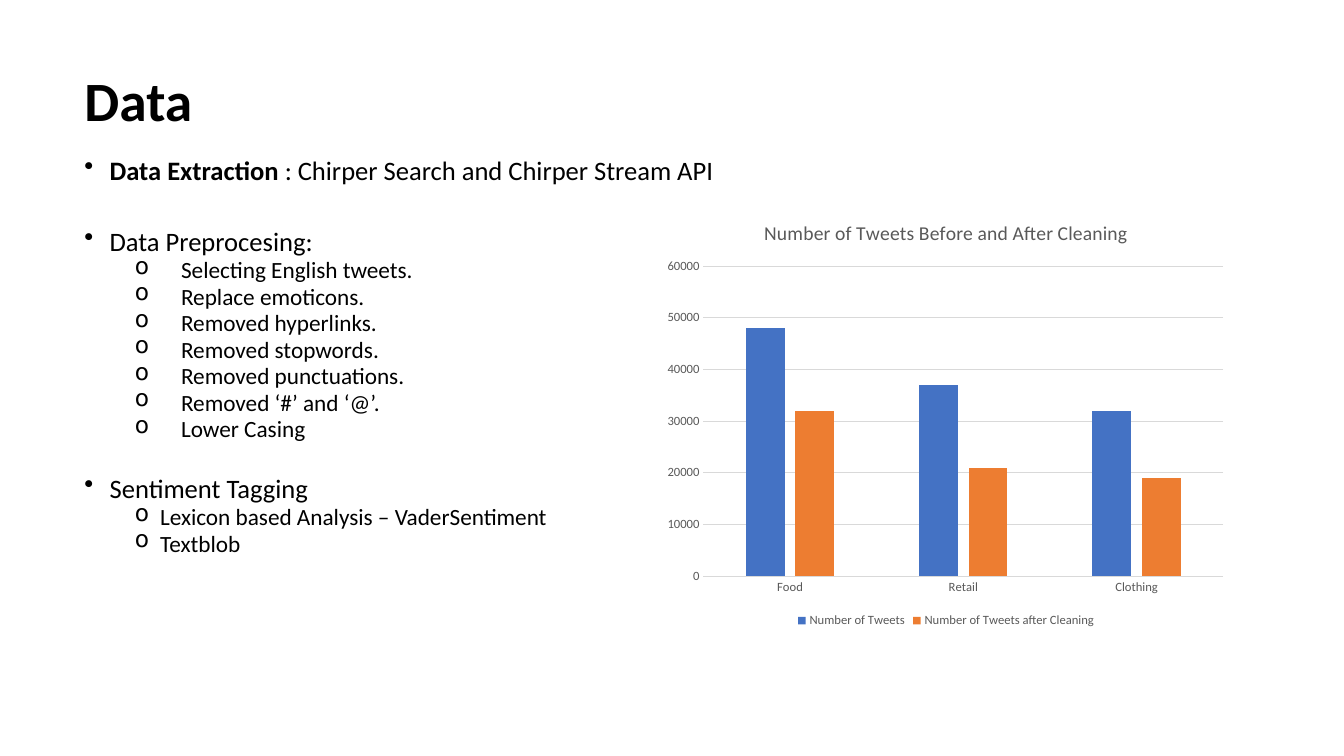
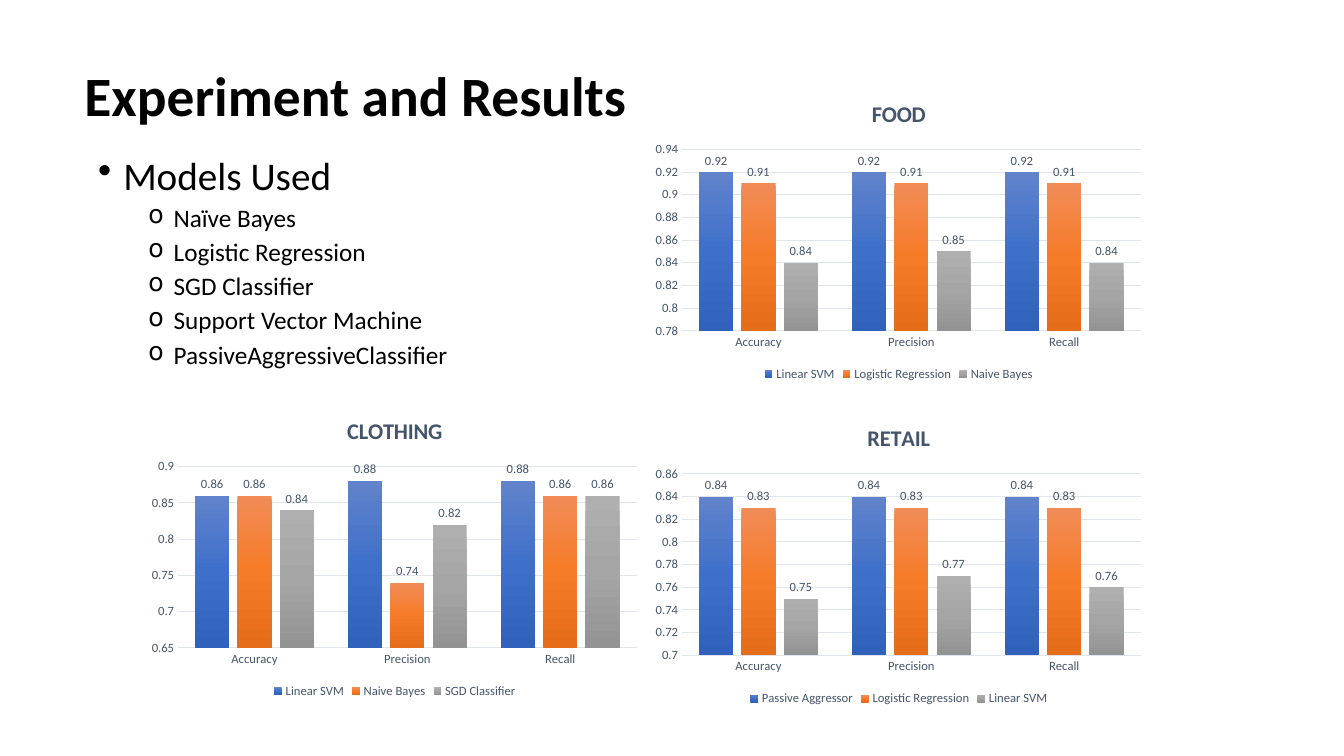
from dataclasses import dataclass

from pptx import Presentation
from pptx.chart.data import CategoryChartData
from pptx.dml.color import RGBColor
from pptx.enum.chart import (XL_CHART_TYPE, XL_LABEL_POSITION,
                             XL_LEGEND_POSITION, XL_TICK_MARK)
from pptx.enum.text import MSO_ANCHOR
from pptx.oxml import parse_xml
from pptx.oxml.ns import nsdecls, qn
from pptx.oxml.xmlchemy import OxmlElement
from pptx.util import Emu, Pt

PX = 9525


@dataclass(frozen=True)
class Theme:
    """Colours, type sizes and chart looks."""
    font: str = "Calibri"
    ink: str = "000000"
    head: float = 39.6
    small: int = 9


@dataclass(frozen=True)
class Look:
    """Style of one kind of chart."""
    ink: str
    rule: str
    fills: tuple
    title: int
    bold: bool
    gap: int
    lap: int
    plot: tuple
    marks: bool


THEME = Theme()
PLAIN = Look("595959", "D9D9D9", (("4472C4",), ("ED7D31",)),
             14, False, 219, -27, (0.08, 0.15, 0.9, 0.72), False)
SHADED = Look("44546A", "E0E5EB",
              (("6183CB", "3E70CA", "3062BB"),
               ("F18C57", "F67B28", "E56C19"),
               ("AFAFAF", "A5A5A5", "939393")),
              16, True, 100, -24, (0.07, 0.22, 0.91, 0.6), True)


def px(*nums):
    """Turn px lengths into EMU."""
    return [Emu(num * PX) for num in nums]


def rgb(code):
    """Turn a hex code into a colour."""
    return RGBColor.from_string(code)


class Deck:
    """Holds the style and the current slide."""

    def __init__(self, theme):
        self.theme = theme
        self.file = Presentation()
        self.file.slide_width, self.file.slide_height = px(1280, 720)
        self.slide = None

    def page(self, title, high):
        """Start a slide with its title."""
        self.slide = self.file.slides.add_slide(self.file.slide_layouts[6])
        frame = self.frame((71, 64, 902, high))
        frame.vertical_anchor = MSO_ANCHOR.MIDDLE
        para = frame.paragraphs[0]
        para.line_spacing = 0.9
        self.run(para, title, self.theme.head, True)

    def frame(self, box):
        """Add a wrapped text box and return its frame."""
        frame = self.slide.shapes.add_textbox(*px(*box)).text_frame
        frame.word_wrap = True
        return frame

    def style(self, font, size, ink, bold=False):
        """Set all traits of a font."""
        font.name, font.size, font.bold = self.theme.font, Pt(size), bold
        font.color.rgb = rgb(ink)

    def run(self, para, text, size, bold=False):
        """Add one run of text."""
        run = para.add_run()
        run.text = text
        self.style(run.font, size, self.theme.ink, bold)

    def body(self, box, rows, sizes, lead):
        """Add a bulleted list of (level, space, indent, runs) rows."""
        frame = self.frame(box)
        for num, (level, space, hang, runs) in enumerate(rows):
            para = frame.add_paragraph() if num else frame.paragraphs[0]
            para.line_spacing, para.space_before = lead, Pt(space)
            para.level = level
            props = para._p.get_or_add_pPr()
            left, = px(48 * level + hang)
            props.set("marL", str(left))
            props.set("indent", str(-hang * PX))
            mark = OxmlElement("a:buChar")
            mark.set("char", "•o"[level])
            props.append(mark)
            for text, bold in runs:
                self.run(para, text, sizes[level], bold)

    def paint(self, series, codes):
        """Fill a series with one colour or an even gradient."""
        if len(codes) == 1:
            series.format.fill.solid()
            series.format.fill.fore_color.rgb = rgb(codes[0])
            return
        step = 100000 // (len(codes) - 1)
        stops = "".join(
            f'<a:gs pos="{num * step}"><a:srgbClr val="{code}"/></a:gs>'
            for num, code in enumerate(codes))
        series._element.get_or_add_spPr().insert(0, parse_xml(
            f'<a:gradFill {nsdecls("a")} rotWithShape="1">'
            f'<a:gsLst>{stops}</a:gsLst>'
            '<a:lin ang="5400000" scaled="0"/></a:gradFill>'))

    def place(self, chart, plot):
        """Fix the inner plot area by shares of the chart."""
        area = chart.element.find(".//" + qn("c:plotArea"))
        for old in area.findall(qn("c:layout")):
            area.remove(old)
        spots = "".join(f'<c:{key} val="{val}"/>'
                        for key, val in zip("xywh", plot))
        area.insert(0, parse_xml(
            f'<c:layout {nsdecls("c")}><c:manualLayout>'
            '<c:layoutTarget val="inner"/><c:xMode val="edge"/>'
            f'<c:yMode val="edge"/>{spots}</c:manualLayout></c:layout>'))

    def chart(self, box, look, title, cats, data, scale):
        """Add a column chart."""
        feed = CategoryChartData(number_format="General")
        feed.categories = cats
        for name, vals in data:
            feed.add_series(name, vals)
        chart = self.slide.shapes.add_chart(
            XL_CHART_TYPE.COLUMN_CLUSTERED, *px(*box), feed).chart
        self.style(chart.font, self.theme.small, look.ink)
        para = chart.chart_title.text_frame.paragraphs[0]
        run = para.add_run()
        run.text = title
        self.style(run.font, look.title, look.ink, look.bold)
        chart.chart_title.include_in_layout = False
        chart.has_legend = True
        chart.legend.position = XL_LEGEND_POSITION.BOTTOM
        chart.legend.include_in_layout = False
        self.style(chart.legend.font, self.theme.small, look.ink)
        self.axes(chart, look, scale)
        plot = chart.plots[0]
        plot.gap_width, plot.overlap = look.gap, look.lap
        plot.vary_by_categories = False
        for series, codes in zip(plot.series, look.fills):
            series.invert_if_negative = False
            self.paint(series, codes)
            if look.marks:
                marks = series.data_labels
                marks.show_value = True
                marks.position = XL_LABEL_POSITION.OUTSIDE_END
                self.style(marks.font, self.theme.small, look.ink)
        self.place(chart, look.plot)

    def axes(self, chart, look, scale):
        """Style both axes and set the value scale."""
        cat, val = chart.category_axis, chart.value_axis
        for axis in (cat, val):
            axis.major_tick_mark = axis.minor_tick_mark = XL_TICK_MARK.NONE
            self.style(axis.tick_labels.font, self.theme.small, look.ink)
        val.minimum_scale, val.maximum_scale, val.major_unit = scale
        val.has_major_gridlines = True
        val.format.line.fill.background()
        for line in (cat.format.line, val.major_gridlines.format.line):
            line.color.rgb = rgb(look.rule)
            line.width = Pt(0.75)


def row(text, level=0, space=None, hang=24):
    """Make a list row of one plain run."""
    if space is None:
        space = 5 if level else 10
    return level, space, hang, [(text, False)]


def main():
    """Build and save the slides."""
    deck = Deck(THEME)
    deck.page("Data", 69)
    steps = ("Selecting English tweets.", "Replace emoticons.",
             "Removed hyperlinks.", "Removed stopwords.",
             "Removed punctuations.", "Removed ‘#’ and ‘@’.",
             "Lower Casing")
    tools = ("Lexicon based Analysis – VaderSentiment", "Textblob")
    source = [("Data Extraction ", True),
              (": Chirper Search and Chirper Stream API", False)]
    deck.body((71, 150, 1123, 493),
              [(0, 10, 24, source),
               row("Data Preprocesing:", space=35),
               *[row(step, 1, hang=44) for step in steps],
               row("Sentiment Tagging", space=28),
               *[row(tool, 1) for tool in tools]],
              (19, 16.6), 0.7)
    deck.chart((626, 192, 550, 410), PLAIN,
               "Number of Tweets Before and After Cleaning",
               ("Food", "Retail", "Clothing"),
               (("Number of Tweets", (48000, 37000, 32000)),
                ("Number of Tweets after Cleaning", (32000, 21000, 19000))),
               (0, 60000, 10000))

    deck.page("Experiment and Results", 60)
    models = ("Naïve Bayes", "Logistic Regression", "SGD Classifier",
              "Support Vector Machine", "PassiveAggressiveClassifier")
    deck.body((84, 144, 1104, 540),
              [row("Models Used"), *[row(name, 1) for name in models]],
              (28, 18), 0.9)
    tests = (
        ("CLOTHING", 136, 381, (0.65, 0.9, 0.05),
         (("Linear SVM", (0.86, 0.88, 0.88)),
          ("Naive Bayes", (0.86, 0.74, 0.86)),
          ("SGD Classifier", (0.84, 0.82, 0.86)))),
        ("FOOD", 616, 79, (0.78, 0.94, 0.02),
         (("Linear SVM", (0.92, 0.92, 0.92)),
          ("Logistic Regression", (0.91, 0.91, 0.91)),
          ("Naive Bayes", (0.84, 0.85, 0.84)))),
        ("RETAIL", 616, 388, (0.7, 0.86, 0.02),
         (("Passive Aggressor", (0.84, 0.84, 0.84)),
          ("Logistic Regression", (0.83, 0.83, 0.83)),
          ("Linear SVM", (0.75, 0.77, 0.76)))),
    )
    for title, left, top, scale, data in tests:
        deck.chart((left, top, 480, 288), SHADED, title,
                   ("Accuracy", "Precision", "Recall"), data, scale)
    deck.file.save("out.pptx")


if __name__ == "__main__":
    main()
